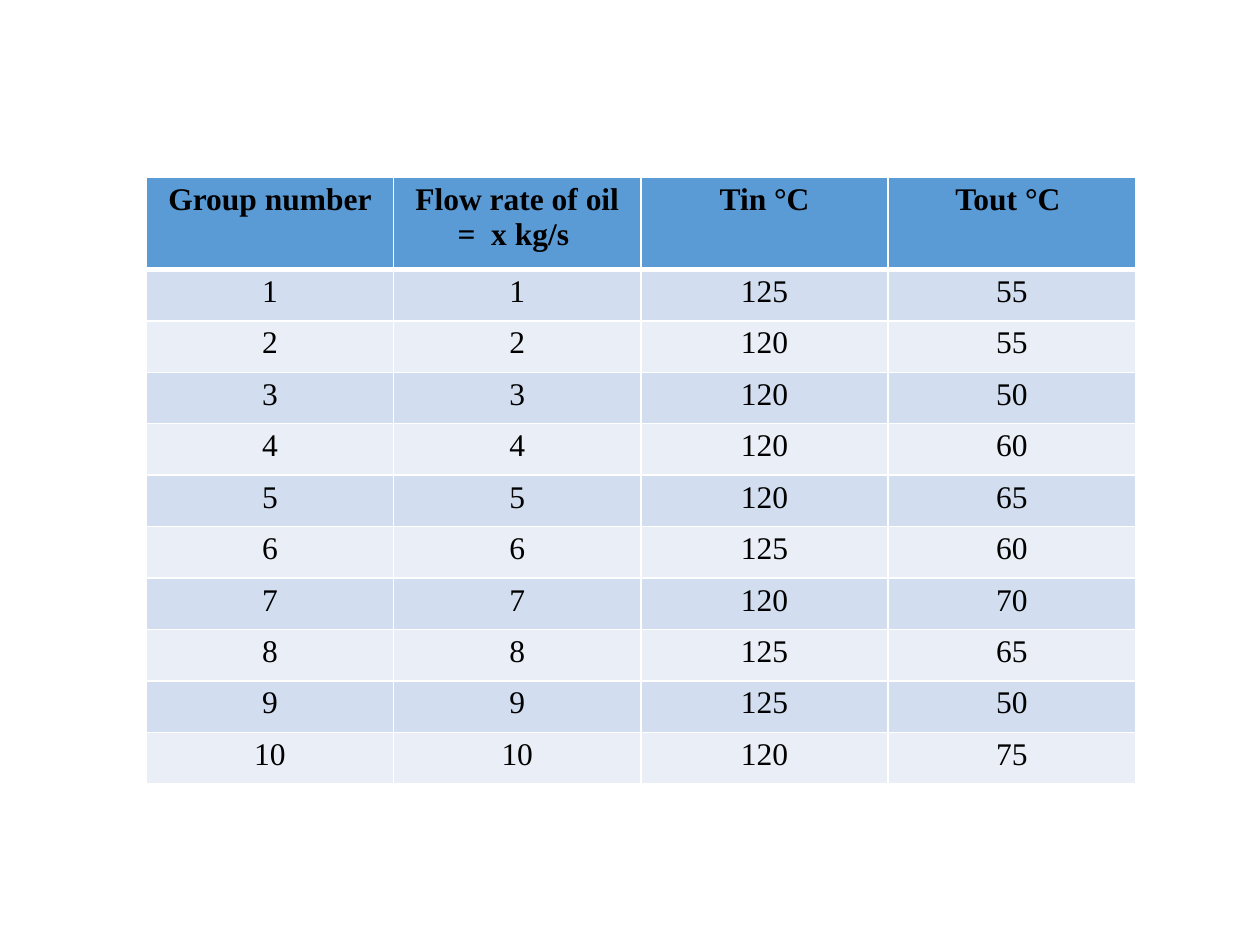
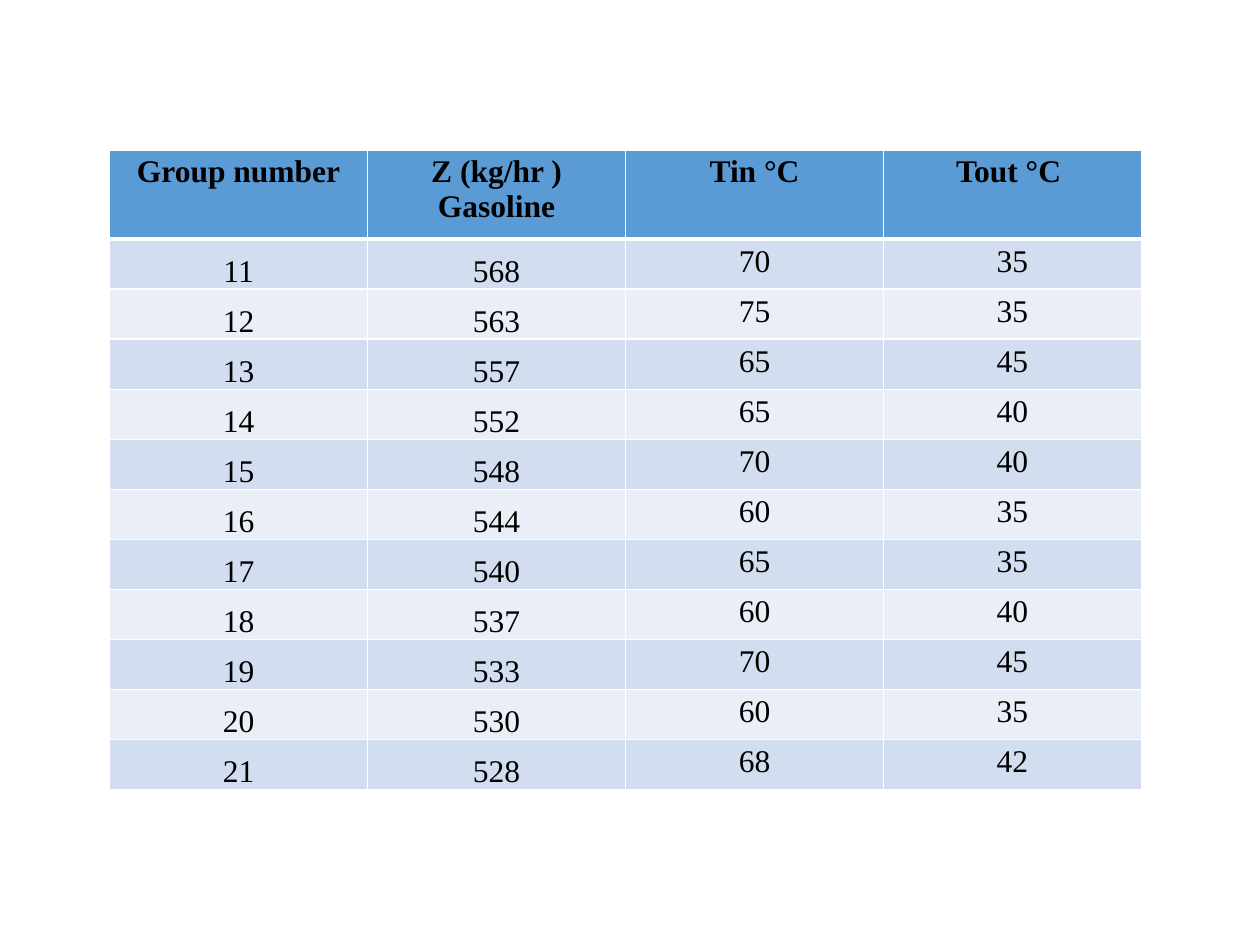
import pptx
import pptx.dml.color
import pptx.enum.text
import pptx.oxml
import pptx.oxml.ns
import pptx.util

Cm = pptx.util.Cm
Pt = pptx.util.Pt
Anchor = pptx.enum.text.MSO_ANCHOR


def tint(code):
    return pptx.dml.color.RGBColor.from_string(code)


class Deck:
    font = "Times New Roman"
    size = 18
    ink = "000000"
    rule = "FFFFFF"
    head = "5B9BD5"
    bands = ("D2DEEF", "EAEFF7")
    thin = 1
    thick = 3

    def __init__(self):
        self.show = pptx.Presentation()
        self.show.slide_width = Cm(25.4)
        self.show.slide_height = Cm(19.05)
        self.slide = None

    def page(self):
        self.slide = self.show.slides.add_slide(self.show.slide_layouts[6])

    def edge(self, cell, side, width):
        line = pptx.oxml.parse_xml(
            f'<a:ln{side} {pptx.oxml.ns.nsdecls("a")} w="{Pt(width)}">'
            f'<a:solidFill><a:srgbClr val="{self.rule}"/></a:solidFill>'
            f'</a:ln{side}>')
        cell._tc.get_or_add_tcPr().append(line)

    def cell(self, cell, text, row, low):
        for side in "LRTB":
            heavy = (row, side) in ((0, "B"), (1, "T"))
            self.edge(cell, side, self.thick if heavy else self.thin)
        cell.fill.solid()
        shade = self.bands[(row - 1) % 2] if row else self.head
        cell.fill.fore_color.rgb = tint(shade)
        side, top, base = (0.03, 0.03, 0) if low else (0.18, 0.1, 0.1)
        cell.margin_left = cell.margin_right = Cm(side)
        cell.margin_top, cell.margin_bottom = Cm(top), Cm(base)
        cell.vertical_anchor = Anchor.BOTTOM if low else Anchor.TOP
        para = cell.text_frame.paragraphs[0]
        para.alignment = pptx.enum.text.PP_ALIGN.CENTER
        run = para.add_run()
        run.text = str(text)
        run.font.name = self.font
        run.font.size = Pt(self.size)
        run.font.bold = row == 0
        run.font.color.rgb = tint(self.ink)

    def table(self, left, top, width, height, crown, rows, low=0):
        table = self.slide.shapes.add_table(
            len(rows), len(rows[0]), Cm(left), Cm(top),
            Cm(width), Cm(height)).table
        for col in table.columns:
            col.width = Cm(width / len(rows[0]))
        step = (height - crown) / (len(rows) - 1)
        for r, row in enumerate(rows):
            table.rows[r].height = Cm(step if r else crown)
            for c, text in enumerate(row):
                self.cell(table.cell(r, c), text, r, r > 0 and c < low)


def heads(flow):
    return ("Group number", flow, "Tin °C", "Tout °C ")


oil = [(125, 55), (120, 55), (120, 50), (120, 60), (120, 65),
       (125, 60), (120, 70), (125, 65), (125, 50), (120, 75)]
fuel = [(568, 70, 35), (563, 75, 35), (557, 65, 45), (552, 65, 40),
        (548, 70, 40), (544, 60, 35), (540, 65, 35), (537, 60, 40),
        (533, 70, 45), (530, 60, 35), (528, 68, 42)]

deck = Deck()

deck.page()
deck.table(2.95, 3.58, 19.94, 12.22, 1.85,
           [heads("Flow rate of oil =  x kg/s ")]
           + [(n, n, *temps) for n, temps in enumerate(oil, 1)])

deck.page()
deck.table(2.21, 3.02, 20.8, 12.9, 1.8,
           [heads("Z (kg/hr ) Gasoline")]
           + [(n, *data) for n, data in enumerate(fuel, 11)], low=2)

deck.show.save("out.pptx")
